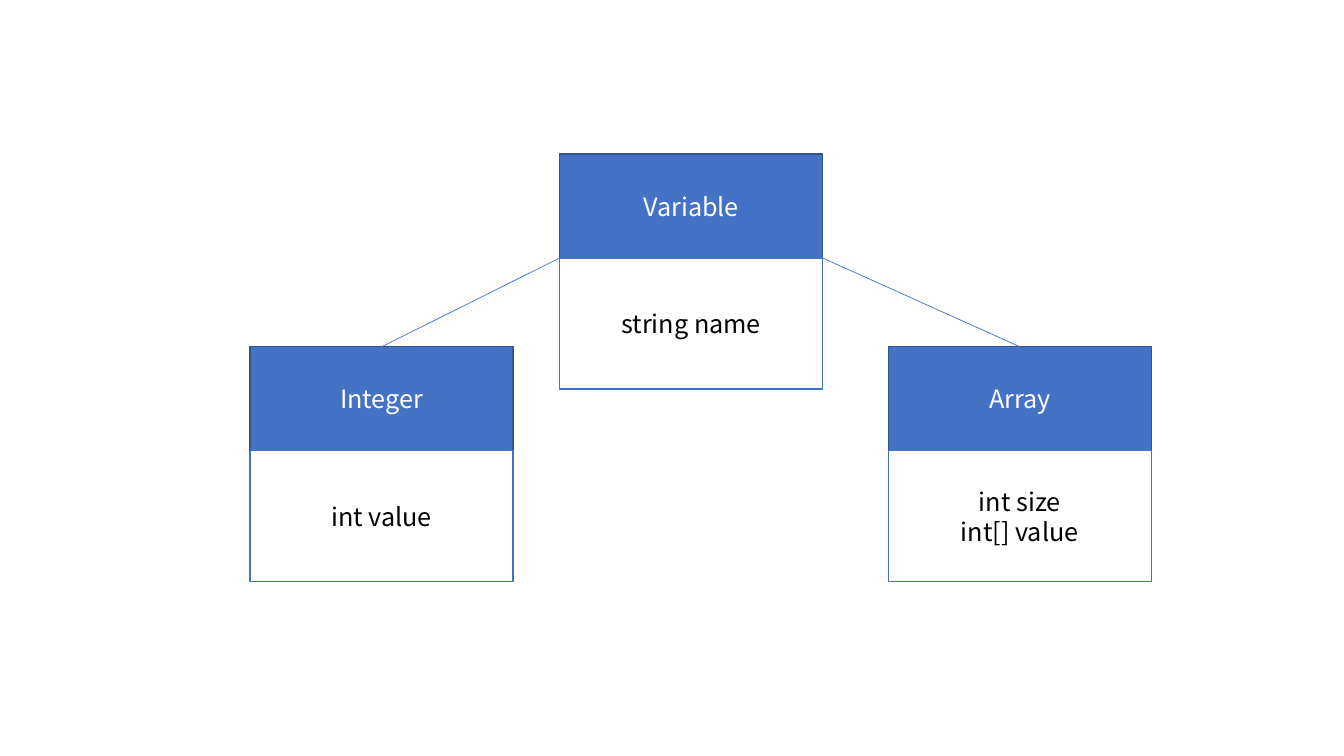
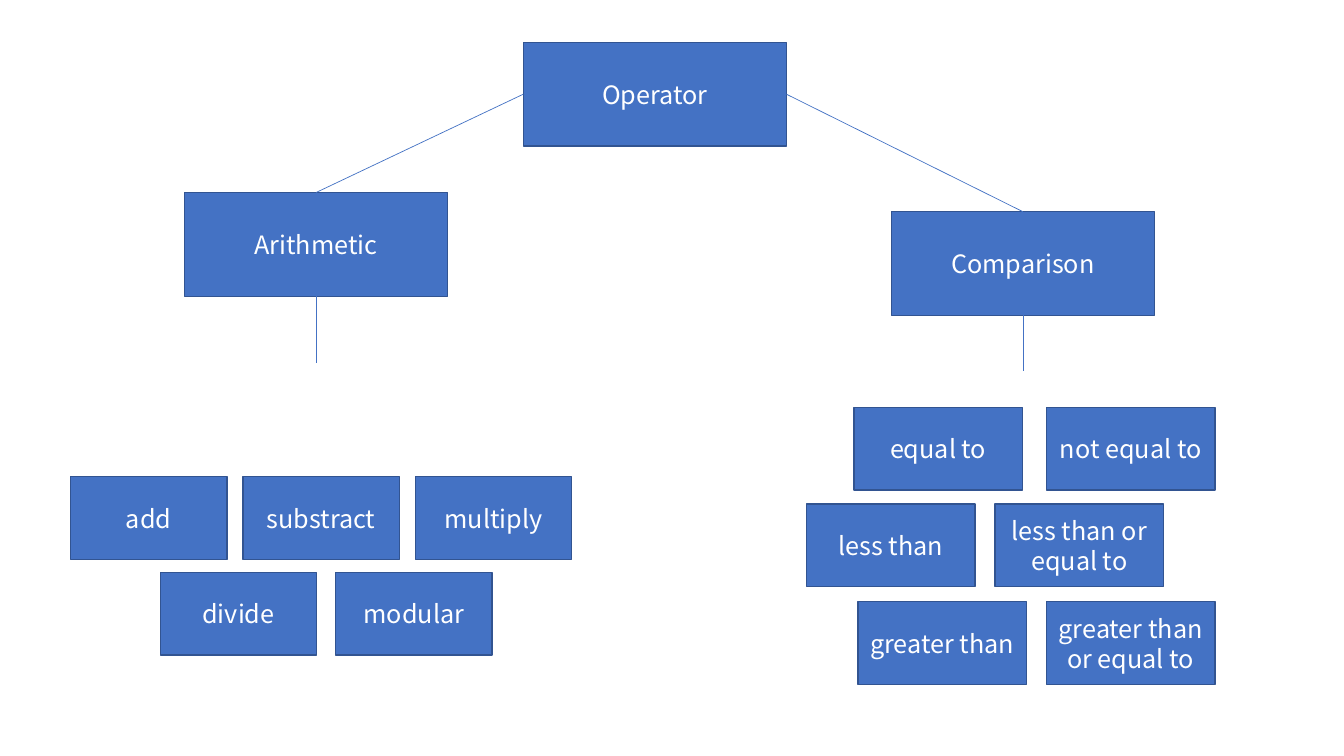
from lxml import etree
from pptx import Presentation
from pptx.dml.color import RGBColor
from pptx.enum import shapes, text
from pptx.oxml import ns
from pptx.util import Inches, Pt

TOP, LEFT, BOTTOM, RIGHT = range(4)


def color(code):
    return RGBColor.from_string(code)


class Deck:
    font = "Noto Sans CJK KR"
    size = 18
    blue, edge, white, black = "4472C4", "325491", "FFFFFF", "000000"
    width, head, body = 2.61, 1.03, 1.3

    def __init__(self):
        self.file = Presentation()
        self.file.slide_width = Inches(13.33)
        self.file.slide_height = Inches(7.5)
        self.slide = None

    def page(self):
        self.slide = self.file.slides.add_slide(self.file.slide_layouts[6])

    def box(self, words, x, y, w, h, fill=blue, line=edge, ink=white):
        box = self.slide.shapes.add_shape(
            shapes.MSO_SHAPE.RECTANGLE, Inches(x), Inches(y), Inches(w), Inches(h))
        box.shadow.inherit = False
        box.fill.solid()
        box.fill.fore_color.rgb = color(fill)
        box.line.color.rgb = color(line)
        box.line.width = Pt(1)
        frame = box.text_frame
        frame.word_wrap = True
        frame.vertical_anchor = text.MSO_ANCHOR.MIDDLE
        frame.text = words
        for para in frame.paragraphs:
            para.alignment = text.PP_ALIGN.CENTER
            for run in para.runs:
                run.font.name = self.font
                run.font.size = Pt(self.size)
                run.font.color.rgb = color(ink)
        return box

    def node(self, words, x, y):
        return self.box(words, x, y, self.width, self.head)

    def entity(self, name, fields, x, y):
        node = self.node(name, x, y)
        self.box(fields, x, y + self.head, self.width, self.body,
                 self.white, self.blue, self.black)
        return node

    def line(self, start, end):
        line = self.slide.shapes.add_connector(
            shapes.MSO_CONNECTOR.STRAIGHT, *start, *end)
        line.line.color.rgb = color(self.blue)
        line.line.width = Pt(0.5)
        etree.SubElement(line._element.spPr, ns.qn("a:effectLst"))
        return line

    def link(self, upper, side, lower):
        line = self.line((0, 0), (0, 0))
        line.begin_connect(upper, side)
        line.end_connect(lower, TOP)

    def stem(self, node, length):
        x = node.left + node.width // 2
        y = node.top + node.height
        line = self.line((x, y), (x, y + Inches(length)))
        line.begin_connect(node, BOTTOM)

    def row(self, names, x, y, step, w):
        for i, name in enumerate(names):
            self.box(name, x + i * step, y, w, 0.82)


def types(deck):
    deck.page()
    root = deck.entity("Variable", "string name", 5.55, 1.53)
    base = root.top + root.height
    for name, fields, x, start in (
            ("Integer", "int value", 2.48, root.left),
            ("Array", "int size\nint[] value", 8.81, root.left + root.width)):
        node = deck.entity(name, fields, x, 3.44)
        line = deck.line((start, base), (node.left, node.top))
        line.end_connect(node, TOP)


def actions(deck):
    deck.page()
    root = deck.node("Operator", 5.19, 0.42)
    for name, x, y, side, length in (
            ("Arithmetic", 1.83, 1.91, LEFT, 0.66),
            ("Comparison", 8.84, 2.1, RIGHT, 0.55)):
        node = deck.node(name, x, y)
        deck.link(root, side, node)
        deck.stem(node, length)
    deck.row(("add", "substract", "multiply"), 0.7, 4.73, 1.71, 1.55)
    deck.row(("divide", "modular"), 1.59, 5.68, 1.74, 1.55)
    for names, x, y, step in (
            (("equal to", "not equal to"), 8.47, 4.04, 1.91),
            (("less than", "less than or\nequal to"), 8, 5, 1.87),
            (("greater than", "greater than or equal to"), 8.51, 5.97, 1.87)):
        deck.row(names, x, y, step, 1.67)


def main():
    deck = Deck()
    types(deck)
    actions(deck)
    deck.file.save("out.pptx")


if __name__ == "__main__":
    main()
